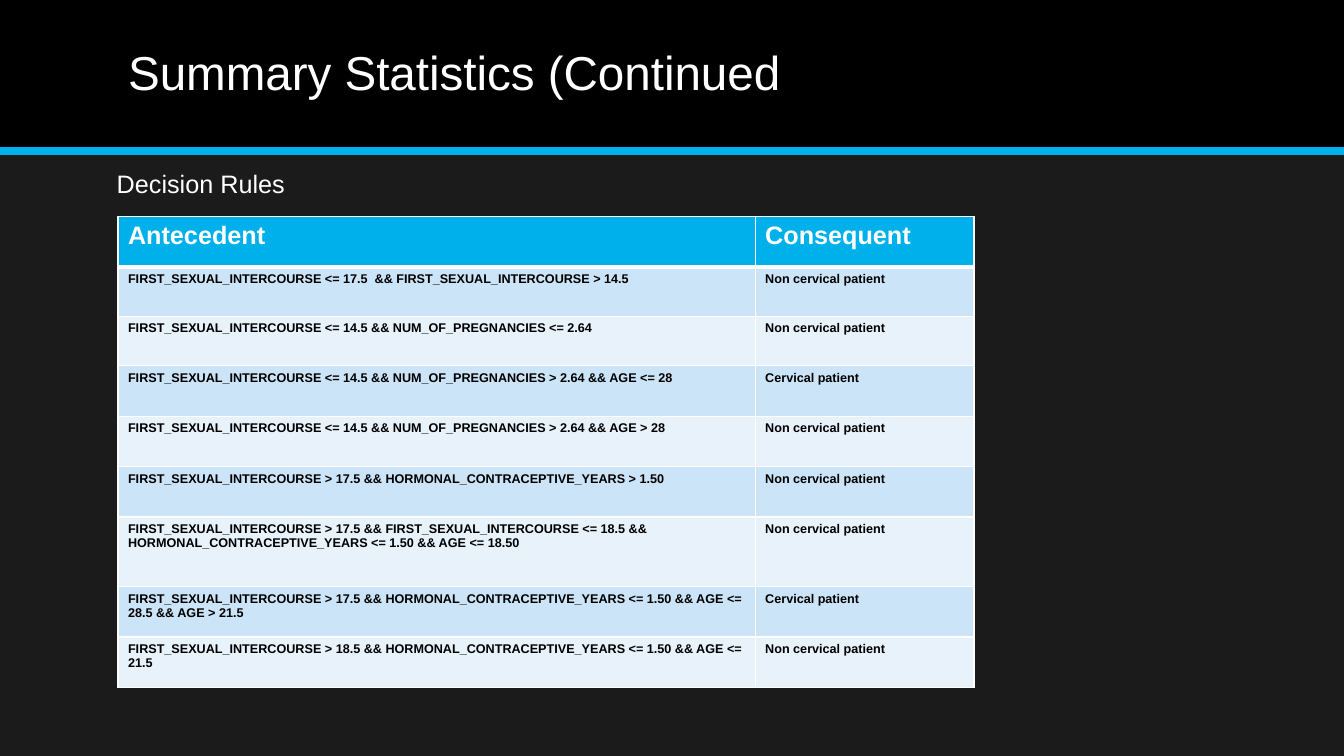
from dataclasses import dataclass

from lxml import etree
from pptx import Presentation
from pptx import util as u
from pptx.dml.color import RGBColor
from pptx.enum import shapes, text
from pptx.oxml import ns

WHITE, BLACK, CYAN, DARK = "FFFFFF", "000000", "00B0EA", "1B1B1B"
BANDS = ("CCE4F7", "E7F2FB")
WIDTH = 13.33
BAND_HEIGHT = 1.5
COLUMN_WIDTHS = (6.32, 2.17)


@dataclass
class Rule:
    antecedent: str
    consequent: str
    height: float = 0.5


FIRST = "FIRST_SEXUAL_INTERCOURSE"
PREGNANCIES = "NUM_OF_PREGNANCIES"
HORMONAL = "HORMONAL_CONTRACEPTIVE_YEARS"
CERVICAL, NON_CERVICAL = "Cervical patient", "Non cervical patient"

RULES = [
    Rule(f"{FIRST} <= 17.5  && {FIRST} > 14.5", NON_CERVICAL, 0.49),
    Rule(f"{FIRST} <= 14.5 && {PREGNANCIES} <= 2.64", NON_CERVICAL, 0.49),
    Rule(f"{FIRST} <= 14.5 && {PREGNANCIES} > 2.64 && AGE <= 28", CERVICAL),
    Rule(f"{FIRST} <= 14.5 && {PREGNANCIES} > 2.64 && AGE > 28", NON_CERVICAL),
    Rule(f"{FIRST} > 17.5 && {HORMONAL} > 1.50", NON_CERVICAL),
    Rule(f"{FIRST} > 17.5 && {FIRST} <= 18.5 && {HORMONAL} <= 1.50 && AGE <= 18.50",
         NON_CERVICAL, 0.69),
    Rule(f"{FIRST} > 17.5 && {HORMONAL} <= 1.50 && AGE <= 28.5 && AGE > 21.5", CERVICAL),
    Rule(f"{FIRST} > 18.5 && {HORMONAL} <= 1.50 && AGE <= 21.5", NON_CERVICAL),
]


def rgb(value: str) -> RGBColor:
    return RGBColor.from_string(value)


def paint(fill, color: str) -> None:
    fill.solid()
    fill.fore_color.rgb = rgb(color)


def write(tf, content: str, size: float, color: str, bold: bool = False) -> None:
    p = tf.paragraphs[0]
    p.alignment = text.PP_ALIGN.LEFT
    r = p.add_run()
    r.text = content
    for name, value in {"name": "Arial", "size": u.Pt(size), "bold": bold}.items():
        setattr(r.font, name, value)
    r.font.color.rgb = rgb(color)


def set_borders(cell, top: float, bottom: float) -> None:
    tc_pr = cell._tc.get_or_add_tcPr()
    edges = {"a:lnL": 1, "a:lnR": 1, "a:lnT": top, "a:lnB": bottom}
    for i, (tag, points) in enumerate(edges.items()):
        ln = etree.Element(ns.qn(tag), w=str(u.Pt(points)))
        fill = etree.SubElement(ln, ns.qn("a:solidFill"))
        etree.SubElement(fill, ns.qn("a:srgbClr"), val=WHITE)
        tc_pr.insert(i, ln)


def add_header(slide) -> None:
    band = slide.shapes.add_shape(shapes.MSO_SHAPE.RECTANGLE, 0, 0,
                                  u.Inches(WIDTH), u.Inches(BAND_HEIGHT))
    band.shadow.inherit = False
    paint(band.fill, BLACK)
    band.line.fill.background()

    rule = slide.shapes.add_connector(shapes.MSO_CONNECTOR.STRAIGHT, 0, u.Inches(BAND_HEIGHT),
                                      u.Inches(WIDTH), u.Inches(BAND_HEIGHT))
    rule.line.color.rgb = rgb(CYAN)
    rule.line.width = u.Pt(6)
    etree.SubElement(rule._element.spPr, ns.qn("a:effectLst"))

    title = slide.shapes.title
    box = {"left": 1.17, "top": 0.14, "width": 11, "height": 1.2}
    for name, value in box.items():
        setattr(title, name, u.Inches(value))
    tf = title.text_frame
    tf.vertical_anchor = text.MSO_ANCHOR.MIDDLE
    write(tf, "Summary Statistics (Continued", 34, WHITE)
    tf.paragraphs[0].line_spacing = 0.9
    rule._element.addnext(title._element)


def add_subtitle(slide) -> None:
    sp = slide.shapes.add_textbox(u.Inches(1.06), u.Inches(1.62), u.Inches(3.67), u.Inches(0.4))
    sp.text_frame.word_wrap = True
    write(sp.text_frame, "Decision Rules", 18, WHITE)


def add_rules(slide, rules: list[Rule]) -> None:
    rows = [Rule("Antecedent", "Consequent"), *rules]
    frame = slide.shapes.add_table(len(rows), len(COLUMN_WIDTHS), u.Inches(1.17), u.Inches(2.15),
                                   u.Inches(sum(COLUMN_WIDTHS)),
                                   u.Inches(sum(row.height for row in rows)))
    table = frame.table
    for column, width in zip(table.columns, COLUMN_WIDTHS):
        column.width = u.Inches(width)
    for i, row in enumerate(rows):
        table.rows[i].height = u.Inches(row.height)
        size, color, fill = (9, BLACK, BANDS[(i - 1) % 2]) if i else (18, WHITE, CYAN)
        for j, content in enumerate((row.antecedent, row.consequent)):
            cell = table.cell(i, j)
            write(cell.text_frame, content, size, color, bold=True)
            paint(cell.fill, fill)
            set_borders(cell, top=3 if i == 1 else 1, bottom=3 if i == 0 else 1)


def main() -> None:
    prs = Presentation()
    prs.slide_width, prs.slide_height = u.Inches(WIDTH), u.Inches(7.5)
    slide = prs.slides.add_slide(prs.slide_layouts[5])
    paint(slide.background.fill, DARK)
    add_header(slide)
    add_rules(slide, RULES)
    add_subtitle(slide)
    prs.save("out.pptx")


if __name__ == "__main__":
    main()
